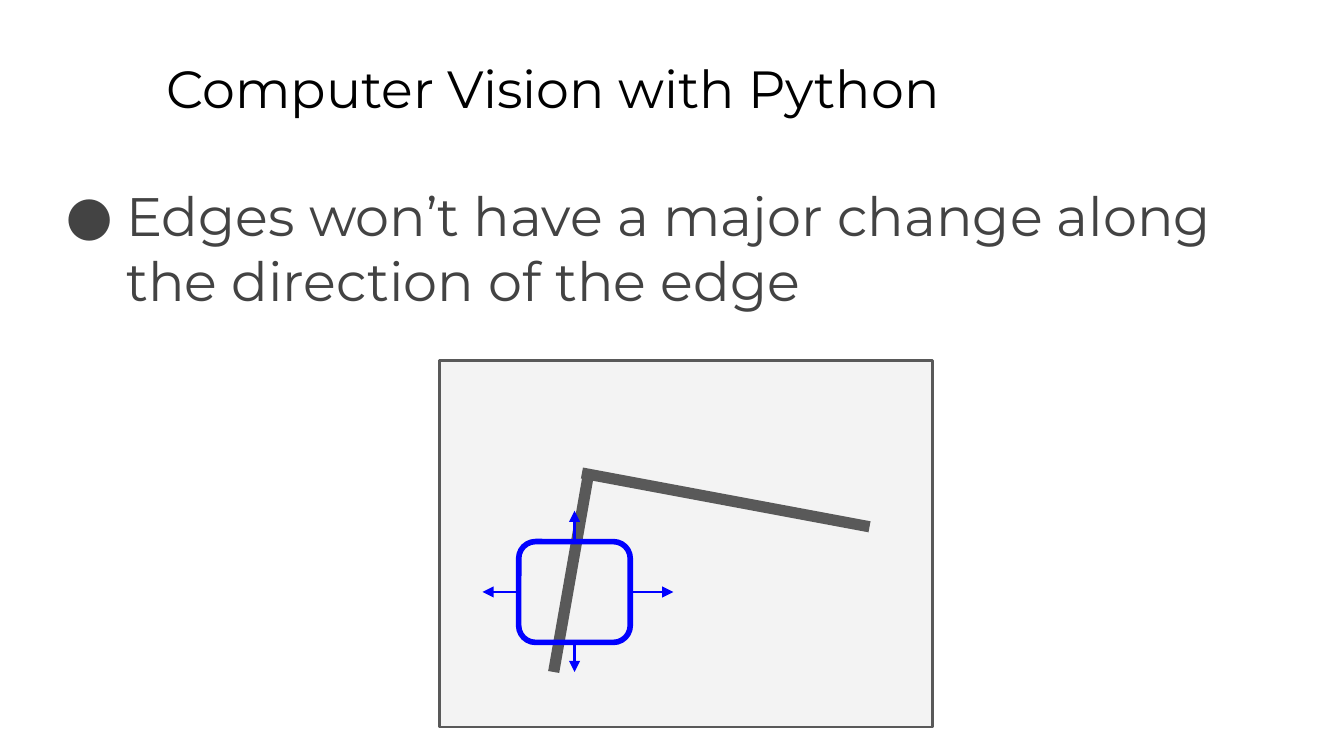
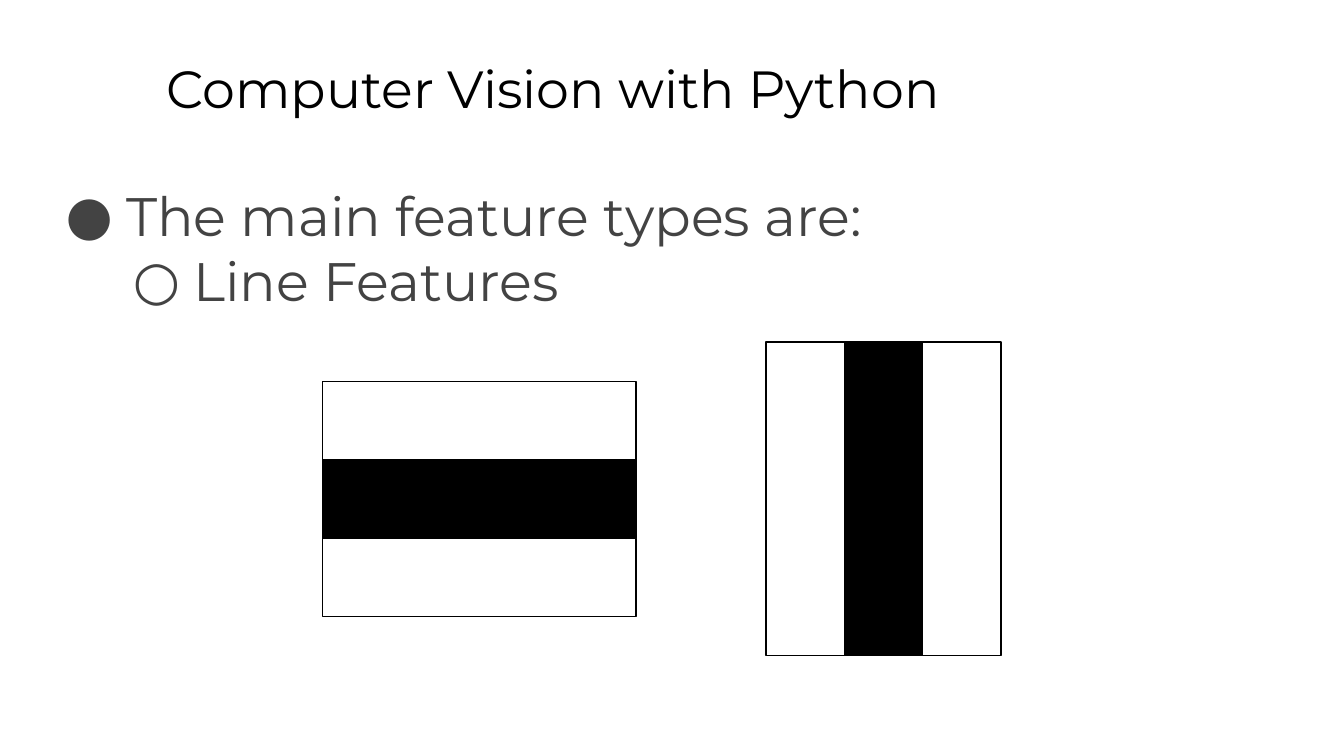
from typing import NamedTuple

from lxml import etree
from pptx import Presentation, util as u
from pptx.dml import color as clr
from pptx.enum import shapes as shp, text as txt
from pptx.oxml import ns

HEX = {"ink": "000000", "body": "434343", "edge": "595959",
       "panel": "F3F3F3", "blue": "0000FF", "white": "FFFFFF"}
FONT = "Montserrat"
TITLE = "Computer Vision with Python"
BULLETS = "●○"
WIDTH = u.Inches(10)
HEIGHT = WIDTH * 9 // 16


class Box(NamedTuple):
    left: float
    top: float
    width: float
    height: float

    def inches(self) -> list:
        return [u.Inches(v) for v in self]


class Line(NamedTuple):
    x1: float
    y1: float
    x2: float
    y2: float


class Item(NamedTuple):
    text: str
    level: int = 0


TITLE_BOX = Box(1.14, 0.32, 8.52, 0.63)
BODY_BOX = Box(0.34, 1.26, 9.5, 3.74)


def rgb(name: str) -> clr.RGBColor:
    return clr.RGBColor.from_string(HEX[name])


def add_bullet(para, level: int, color: str) -> None:
    props = para._p.get_or_add_pPr()
    props.set("marL", str(u.Inches(0.5 * (level + 1))))
    props.set("indent", str(u.Inches(-0.45)))
    tint = etree.SubElement(props, ns.qn("a:buClr"))
    etree.SubElement(tint, ns.qn("a:srgbClr"), val=HEX[color])
    etree.SubElement(props, ns.qn("a:buFont"), typeface=FONT)
    etree.SubElement(props, ns.qn("a:buChar"), char=BULLETS[level])


def add_text(slide, box: Box, items: list[Item], *, size: float,
             color: str, bullets: bool = False) -> None:
    frame = slide.shapes.add_textbox(*box.inches()).text_frame
    frame.word_wrap = True
    frame.vertical_anchor = txt.MSO_ANCHOR.TOP
    frame.margin_left = frame.margin_right = u.Inches(0.1)
    frame.margin_top = frame.margin_bottom = u.Inches(0.1)
    for i, item in enumerate(items):
        para = frame.add_paragraph() if i else frame.paragraphs[0]
        para.level = item.level
        if bullets:
            add_bullet(para, item.level, color)
        run = para.add_run()
        run.text = item.text
        run.font.name = FONT
        run.font.size = u.Pt(size)
        run.font.color.rgb = rgb(color)


def add_box(slide, box: Box, *, line: str, weight: float,
            fill: str | None = None, round: bool = False,
            turn: float = 0) -> None:
    kind = shp.MSO_SHAPE.ROUNDED_RECTANGLE if round else shp.MSO_SHAPE.RECTANGLE
    shape = slide.shapes.add_shape(kind, *box.inches())
    shape.shadow.inherit = False
    shape.rotation = turn
    if fill:
        shape.fill.solid()
        shape.fill.fore_color.rgb = rgb(fill)
    else:
        shape.fill.background()
    shape.line.color.rgb = rgb(line)
    shape.line.width = u.Pt(weight)


def add_line(slide, line: Line, *, color: str, weight: float,
             arrow: bool = False) -> None:
    link = slide.shapes.add_connector(
        shp.MSO_CONNECTOR.STRAIGHT, *[u.Inches(v) for v in line])
    link.line.color.rgb = rgb(color)
    link.line.width = u.Pt(weight)
    if arrow:
        etree.SubElement(link.line._get_or_add_ln(), ns.qn("a:tailEnd"),
                         type="triangle")
    etree.SubElement(link._element.spPr, ns.qn("a:effectLst"))


def add_slide(deck, items: list[Item]):
    """Add a slide with the shared title and a bulleted body."""
    slide = deck.slides.add_slide(deck.slide_layouts[6])
    slide.background.fill.solid()
    slide.background.fill.fore_color.rgb = rgb("white")
    add_text(slide, TITLE_BOX, [Item(TITLE)], size=28, color="ink")
    add_text(slide, BODY_BOX, items, size=29, color="body", bullets=True)
    return slide


def draw_edge(slide) -> None:
    """Draw a corner with a window that can shift four ways."""
    add_box(slide, Box(3.27, 2.68, 3.67, 2.73), fill="panel", line="edge",
            weight=1.5)
    for side in (Line(4.38, 3.52, 4.12, 5), Line(4.33, 3.52, 6.47, 3.92)):
        add_line(slide, side, color="edge", weight=6)

    view = Box(3.86, 4.03, 0.83, 0.75)
    add_box(slide, view, line="blue", weight=3, round=True)
    right, low = view.left + view.width, view.top + view.height
    mid_x, mid_y = view.left + view.width / 2, view.top + view.height / 2
    for shift in (Line(view.left, mid_y, 3.59, mid_y),
                  Line(mid_x, view.top, mid_x, 3.8),
                  Line(right, mid_y, 5.01, mid_y),
                  Line(mid_x, low, mid_x, 5)):
        add_line(slide, shift, color="blue", weight=1.5, arrow=True)


def draw_bars(slide, first: Box, dx: float, dy: float, turn: float) -> None:
    """Draw a white, black, white stack, each bar one step on."""
    for i, fill in enumerate(("white", "ink", "white")):
        bar = first._replace(left=first.left + i * dx, top=first.top + i * dy)
        add_box(slide, bar, fill=fill, line="ink", weight=0.75, turn=turn)


def main() -> None:
    deck = Presentation()
    deck.slide_width, deck.slide_height = WIDTH, HEIGHT

    draw_edge(add_slide(deck, [Item(
        "Edges won’t have a major change along the direction of the edge")]))

    lines = add_slide(deck, [Item("The main feature types are:"),
                             Item("Line Features", 1)])
    thick = 7 / 12
    wide = 4 * thick
    draw_bars(lines, Box(2.4, 2.84, wide, thick), 0, thick, 0)
    draw_bars(lines, Box(5.99, 3.42, wide, thick), -thick, 0, 90)

    deck.save("out.pptx")


if __name__ == "__main__":
    main()
